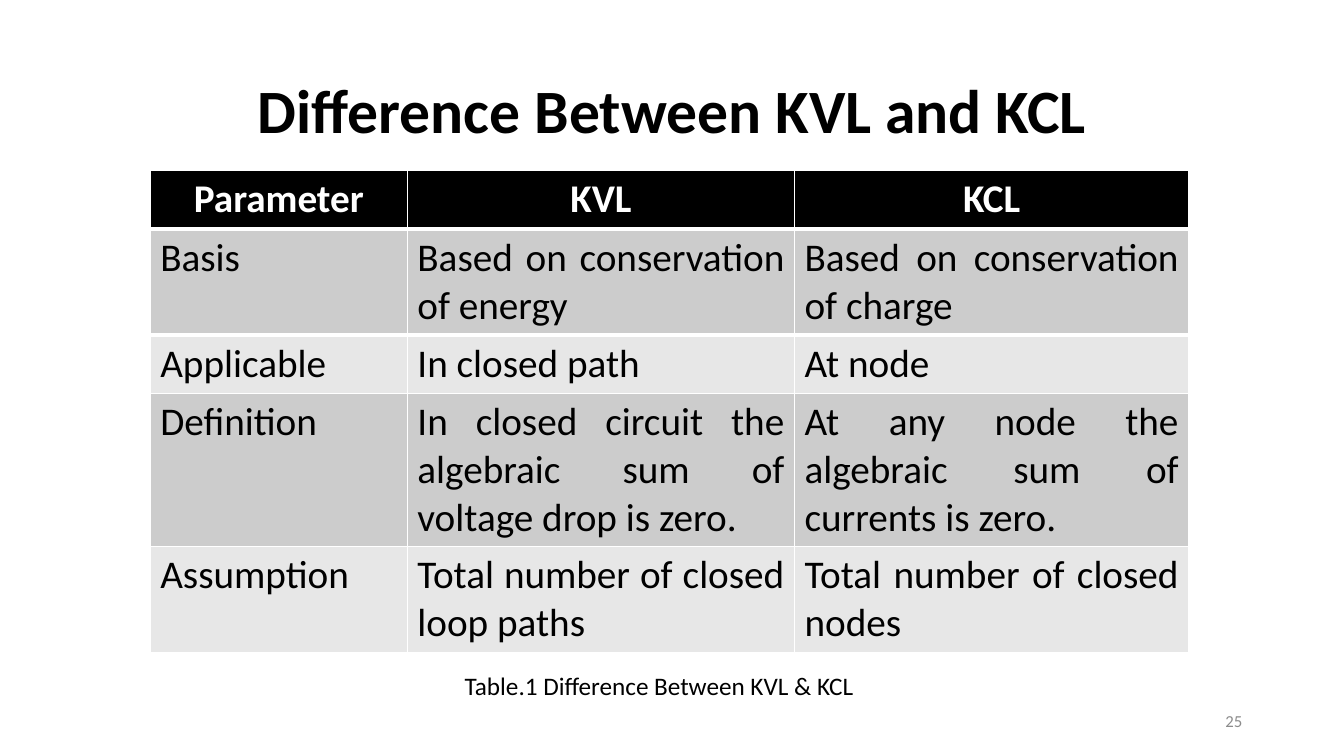
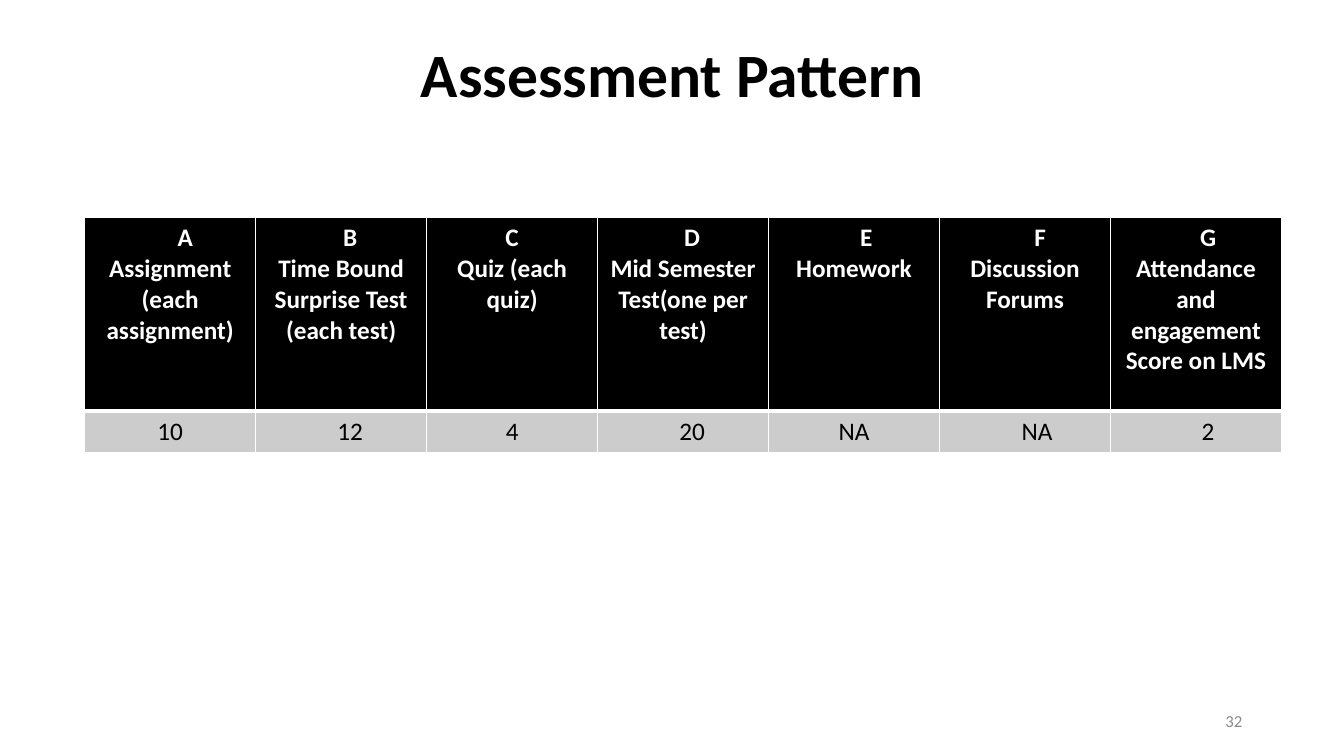
from lxml import etree
from pptx import Presentation, util as u
from pptx.dml.color import RGBColor
from pptx.enum import text
from pptx.oxml import ns

FONT = "Calibri"
BLACK, WHITE, GREY = "000000", "FFFFFF", "8C8C8C"
BANDS = ["CCCCCC", "E7E7E7"]
CENTER, RIGHT, JUSTIFY = (text.PP_ALIGN.CENTER, text.PP_ALIGN.RIGHT,
                          text.PP_ALIGN.JUSTIFY)
SPACE = 0.06  # inches of indent per step in the assessment table


def style(paragraph, size, color, bold=False, align=None):
    paragraph.alignment = align
    for run in paragraph.runs:
        run.font.name = FONT
        run.font.size = u.Pt(size)
        run.font.bold = bold
        run.font.color.rgb = RGBColor.from_string(color)


def add_grid(slide, rows, left, top, widths, heights, size, body_align):
    """Table with a black header row and grey bands below it."""
    grid = slide.shapes.add_table(
        len(rows), len(widths), u.Inches(left), u.Inches(top),
        u.Inches(sum(widths)), u.Inches(sum(heights))).table
    for column, width in zip(grid.columns, widths):
        column.width = u.Inches(width)
    for r, (row, height) in enumerate(zip(rows, heights)):
        grid.rows[r].height = u.Inches(height)
        header = r == 0
        for c, content in enumerate(row):
            cell = grid.cell(r, c)
            cell.text_frame.text = content
            cell.fill.solid()
            cell.fill.fore_color.rgb = RGBColor.from_string(
                BLACK if header else BANDS[(r - 1) % 2])
            for paragraph in cell.text_frame.paragraphs:
                style(paragraph, size, WHITE if header else BLACK, header,
                      CENTER if header else body_align)
            # Thick white rule between header and body
            if r < 2:
                rule = etree.Element(ns.qn("a:lnB" if header else "a:lnT"),
                                     w=str(u.Pt(3)))
                fill = etree.SubElement(rule, ns.qn("a:solidFill"))
                etree.SubElement(fill, ns.qn("a:srgbClr"), val=WHITE)
                cell._tc.get_or_add_tcPr().insert(0, rule)
    return grid


deck = Presentation()
deck.slide_width, deck.slide_height = u.Inches(13.33), u.Inches(7.5)

# Title and page number of every slide
slides = []
for heading, title_top, page in [("Difference Between KVL and KCL", 0.4, "25"),
                                 ("Assessment Pattern", 0.04, "32")]:
    slide = deck.slides.add_slide(deck.slide_layouts[5])
    slides.append(slide)
    title = slide.shapes.title
    title.left, title.top = u.Inches(0.92), u.Inches(title_top)
    title.width, title.height = u.Inches(11.5), u.Inches(1.45)
    title.text_frame.text = heading
    title.text_frame.vertical_anchor = text.MSO_ANCHOR.MIDDLE
    title.text_frame.paragraphs[0].line_spacing = 0.9
    style(title.text_frame.paragraphs[0], 44, BLACK, True, CENTER)

    number = slide.shapes.add_textbox(
        u.Inches(9.42), u.Inches(6.95), u.Inches(3), u.Inches(0.4)).text_frame
    number.word_wrap = True
    number.vertical_anchor = text.MSO_ANCHOR.MIDDLE
    number.text = page
    style(number.paragraphs[0], 12, GREY, align=RIGHT)

comparison, assessment = slides

# Comparison of the two laws
laws = [
    ("Parameter", "KVL", "KCL"),
    ("Basis", "Based on conservation of energy",
     "Based on conservation of charge"),
    ("Applicable", "In closed path", "At node"),
    ("Definition",
     "In closed circuit the algebraic sum of voltage drop is zero.",
     "At any node the algebraic sum of currents is zero."),
    ("Assumption", "Total number of closed loop paths",
     "Total number of closed nodes"),
]
lines_per_row = [1, 2, 1, 3, 2]
add_grid(comparison, laws, 1.49, 1.69, [2.55, 3.84, 3.91],
         [0.11 + 0.47 * lines for lines in lines_per_row], 28, JUSTIFY)

caption = comparison.shapes.add_textbox(
    u.Inches(4.51), u.Inches(6.6), u.Inches(4.11), u.Inches(0.4)).text_frame
caption.word_wrap = False
caption.text = "Table.1 Difference Between KVL & KCL"
style(caption.paragraphs[0], 18, BLACK)

# Assessment components: letter, name, marks, indent steps of letter and marks
components = [
    ("A", "Assignment (each assignment)", "10", 5, 0),
    ("B", "Time Bound Surprise Test (each test)", "12", 3, 3),
    ("C", "Quiz (each quiz)", "4", 0, 0),
    ("D", "Mid Semester Test(one per test)", "20", 3, 3),
    ("E", "Homework", "NA", 4, 0),
    ("F", "Discussion Forums", "NA", 5, 4),
    ("G", "Attendance and engagement Score on LMS", "2", 4, 4),
]
headers = [f"{letter}\n{name}" for letter, name, *_ in components]
marks = [component[2] for component in components]
pattern = add_grid(assessment, [headers, marks], 0.84, 2.16,
                   [11.87 / len(components)] * len(components),
                   [1.92, 0.41], 18, CENTER)
for c, component in enumerate(components):
    for r, steps in enumerate(component[3:]):
        first_line = pattern.cell(r, c).text_frame.paragraphs[0]
        first_line._p.get_or_add_pPr().set(
            "marL", str(u.Inches(steps * SPACE)))

deck.save("out.pptx")
